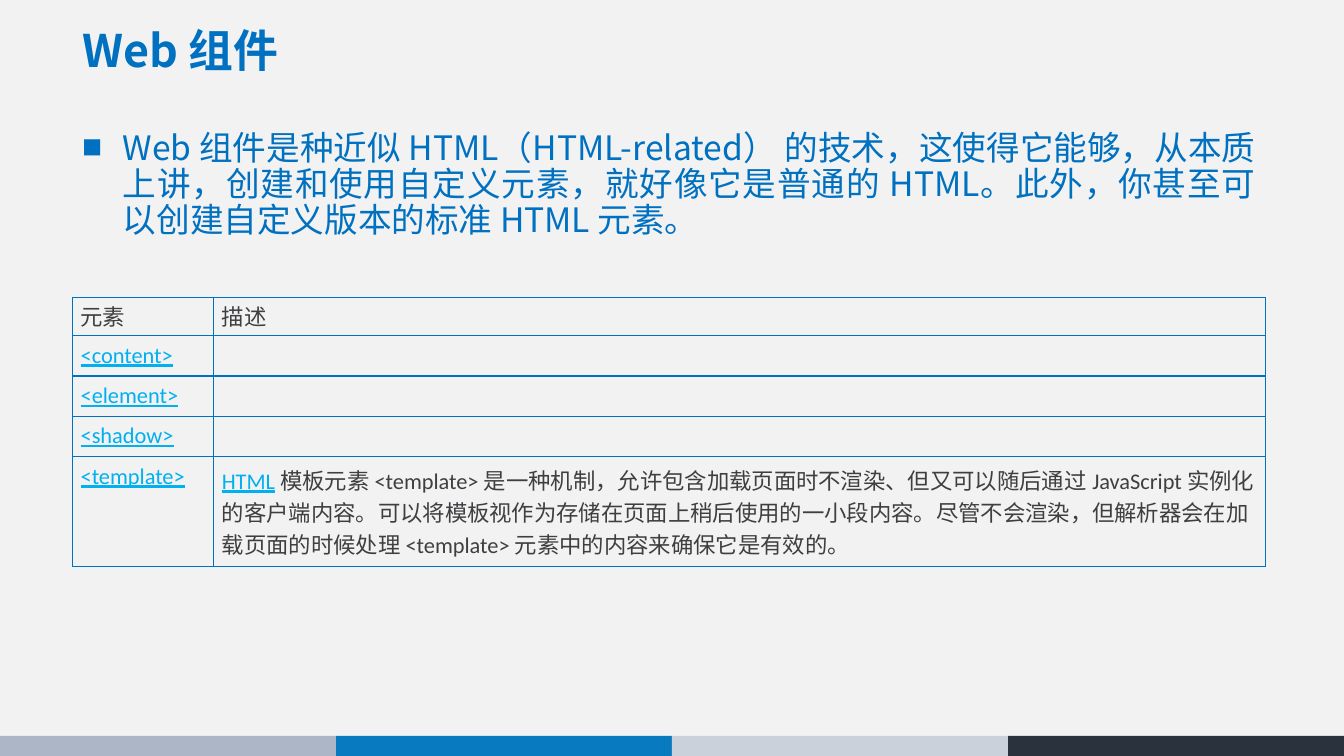
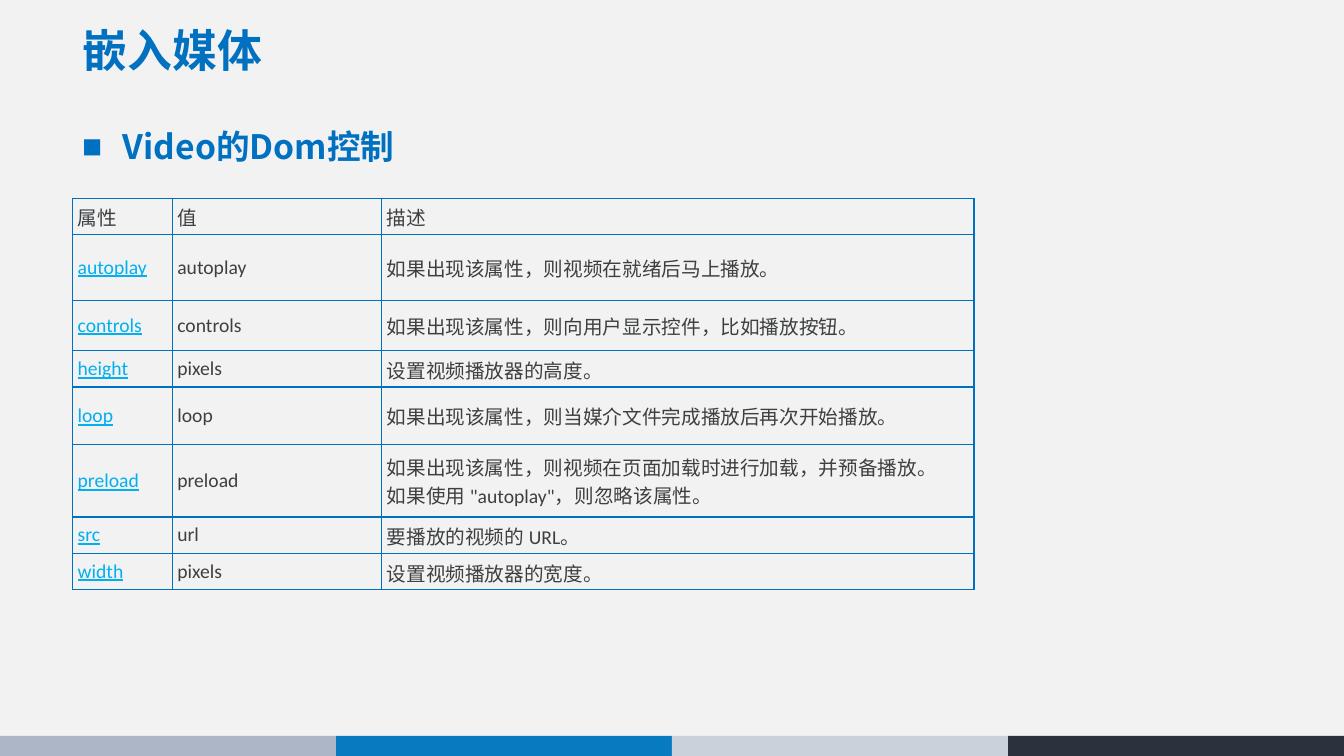
import dataclasses

import lxml.etree
import pptx
import pptx.dml.color
import pptx.enum.shapes
import pptx.enum.text
import pptx.oxml.ns
import pptx.util


@dataclasses.dataclass(frozen=True)
class Theme:
    background: str = "F2F2F2"
    bands: tuple = ("ADB6C7", "087AC0", "CBD1DB", "2A323E")
    accent: str = "0070C0"
    text: str = "3D3F41"
    link: str = "00B0F0"
    heading_font: str = "Noto Sans CJK SC"
    table_font: str = "Calibri"
    title_size: int = 32
    body_size: int = 24


theme = Theme()
anchors = pptx.enum.text.MSO_ANCHOR
qualified = pptx.oxml.ns.qn

presentation = pptx.Presentation()
presentation.slide_width = pptx.util.Inches(13.33)
presentation.slide_height = pptx.util.Inches(7.5)
grid = presentation.slide_height / 75
left, content_width = round(7.2 * grid), round(118.3 * grid)

background = presentation.slide_master.background.fill
background.solid()
background.fore_color.rgb = pptx.dml.color.RGBColor.from_string(theme.background)


def add_run(paragraph, text, font, size, color, bold=False, underline=False):
    run = paragraph.add_run()
    run.text = text
    run.font.name = font
    run.font.size = pptx.util.Pt(size)
    run.font.bold = bold
    run.font.underline = underline
    run.font.color.rgb = pptx.dml.color.RGBColor.from_string(color)
    east_asian = lxml.etree.Element(qualified("a:ea"), typeface=theme.heading_font)
    run.font._element.find(qualified("a:latin")).addnext(east_asian)


def add_borders(cell):
    properties = cell._tc.get_or_add_tcPr()
    for position, side in enumerate(("a:lnL", "a:lnR", "a:lnT", "a:lnB")):
        line = lxml.etree.Element(qualified(side), w=str(pptx.util.Pt(1)))
        fill = lxml.etree.SubElement(line, qualified("a:solidFill"))
        lxml.etree.SubElement(fill, qualified("a:srgbClr"), val=theme.accent)
        properties.insert(position, line)


pages = [
    {
        "title": "Web 组件",
        "body": "Web 组件是种近似 HTML（HTML-related） 的技术，这使得它能够，从本质上讲，创建和使用自定义元素，就好像它是普通的 HTML。此外，你甚至可以创建自定义版本的标准 HTML 元素。",
        "bold": False,
        "top": 29.5,
        "width": 118.3,
        "columns": (1.4, 10.43),
        "rows": (3.8, 4, 4, 4, 10.9),
        "size": 16,
        "side_insets": (0.8, 0.8),
        "header_insets": (0.2, 0.4),
        "row_inset": 0.6,
        "label_anchor": anchors.TOP,
        "cells": (
            ("元素", "描述"),
            ("<content>", ""),
            ("<element>", ""),
            ("<shadow>", ""),
            ("<template>", "HTML| 模板元素 <template> 是一种机制，允许包含加载页面时不渲染、但又可以随后通过 JavaScript 实例化的客户端内容。可以将模板视作为存储在页面上稍后使用的一小段内容。尽管不会渲染，但解析器会在加载页面的时候处理 <template> 元素中的内容来确保它是有效的。"),
        ),
    },
    {
        "title": "嵌入媒体",
        "body": "Video的Dom控制",
        "bold": True,
        "top": 19.7,
        "width": 89.4,
        "columns": (0.99, 2.08, 5.88),
        "rows": (3.6, 6.5, 5, 3.6, 5.7, 7.2, 3.6, 3.6),
        "size": 14,
        "side_insets": (0.5, 1.1),
        "header_insets": (0.4, 0.4),
        "row_inset": 0.5,
        "label_anchor": anchors.MIDDLE,
        "cells": (
            ("属性", "值", "描述"),
            ("autoplay", "autoplay", "如果出现该属性，则视频在就绪后马上播放。"),
            ("controls", "controls", "如果出现该属性，则向用户显示控件，比如播放按钮。"),
            ("height", "pixels", "设置视频播放器的高度。"),
            ("loop", "loop", "如果出现该属性，则当媒介文件完成播放后再次开始播放。"),
            ("preload", "preload", "如果出现该属性，则视频在页面加载时进行加载，并预备播放。\n如果使用 \"autoplay\"，则忽略该属性。"),
            ("src", "url", "要播放的视频的 URL。"),
            ("width", "pixels", "设置视频播放器的宽度。"),
        ),
    },
]

for page in pages:
    slide = presentation.slides.add_slide(presentation.slide_layouts.get_by_name("Title Only"))

    band_width = presentation.slide_width / len(theme.bands)
    for index, color in enumerate(theme.bands):
        band = slide.shapes.add_shape(
            pptx.enum.shapes.MSO_SHAPE.RECTANGLE,
            round(index * band_width), round(73 * grid), round(band_width), round(2 * grid),
        )
        band.shadow.inherit = False
        band.fill.solid()
        band.fill.fore_color.rgb = pptx.dml.color.RGBColor.from_string(color)
        band.line.fill.background()

    title = slide.shapes.title
    title.left, title.top = left, round(1.8 * grid)
    title.width, title.height = content_width, round(7 * grid)
    title.text_frame.vertical_anchor = anchors.MIDDLE
    paragraph = title.text_frame.paragraphs[0]
    paragraph.alignment = pptx.enum.text.PP_ALIGN.LEFT
    paragraph.line_spacing = 0.9
    add_run(paragraph, page["title"], theme.heading_font, theme.title_size, theme.accent, bold=True)

    body = slide.shapes.add_textbox(left, round(12.5 * grid), content_width, round((page["top"] - 13) * grid))
    body.text_frame.word_wrap = True
    paragraph = body.text_frame.paragraphs[0]
    paragraph.alignment = pptx.enum.text.PP_ALIGN.JUSTIFY
    paragraph.line_spacing = 0.9
    properties = paragraph._p.get_or_add_pPr()
    properties.set("marL", str(round(4 * grid)))
    properties.set("indent", str(round(-4 * grid)))
    bullet_color = lxml.etree.SubElement(properties, qualified("a:buClr"))
    lxml.etree.SubElement(bullet_color, qualified("a:srgbClr"), val=theme.accent)
    lxml.etree.SubElement(properties, qualified("a:buSzPct"), val="60000")
    lxml.etree.SubElement(properties, qualified("a:buFont"), typeface=theme.heading_font)
    lxml.etree.SubElement(properties, qualified("a:buChar"), char="■")
    add_run(paragraph, page["body"], theme.heading_font, theme.body_size, theme.accent, bold=page["bold"])

    table_width = page["width"] * grid
    table = slide.shapes.add_table(
        len(page["rows"]), len(page["columns"]),
        left, round(page["top"] * grid), round(table_width), round(sum(page["rows"]) * grid),
    ).table
    table.first_row = False
    table.horz_banding = False
    for column, weight in zip(table.columns, page["columns"]):
        column.width = round(table_width * weight / sum(page["columns"]))
    for row, height in zip(table.rows, page["rows"]):
        row.height = round(height * grid)

    for row_index, texts in enumerate(page["cells"]):
        for column_index, text in enumerate(texts):
            cell = table.cell(row_index, column_index)
            cell.fill.background()
            add_borders(cell)
            if not text:
                continue
            is_label = row_index > 0 and column_index == 0
            cell.vertical_anchor = page["label_anchor"] if is_label else anchors.MIDDLE
            insets = (page["row_inset"],) * 2 if row_index else page["header_insets"]
            cell.margin_left, cell.margin_right = (round(inset * grid) for inset in page["side_insets"])
            cell.margin_top, cell.margin_bottom = (round(inset * grid) for inset in insets)
            for line_index, line_text in enumerate(text.split("\n")):
                frame = cell.text_frame
                paragraph = frame.add_paragraph() if line_index else frame.paragraphs[0]
                for run_text in line_text.split("|"):
                    is_link = is_label or run_text == "HTML"
                    color = theme.link if is_link else theme.text
                    add_run(paragraph, run_text, theme.table_font, page["size"], color, underline=is_link)

presentation.save("out.pptx")
